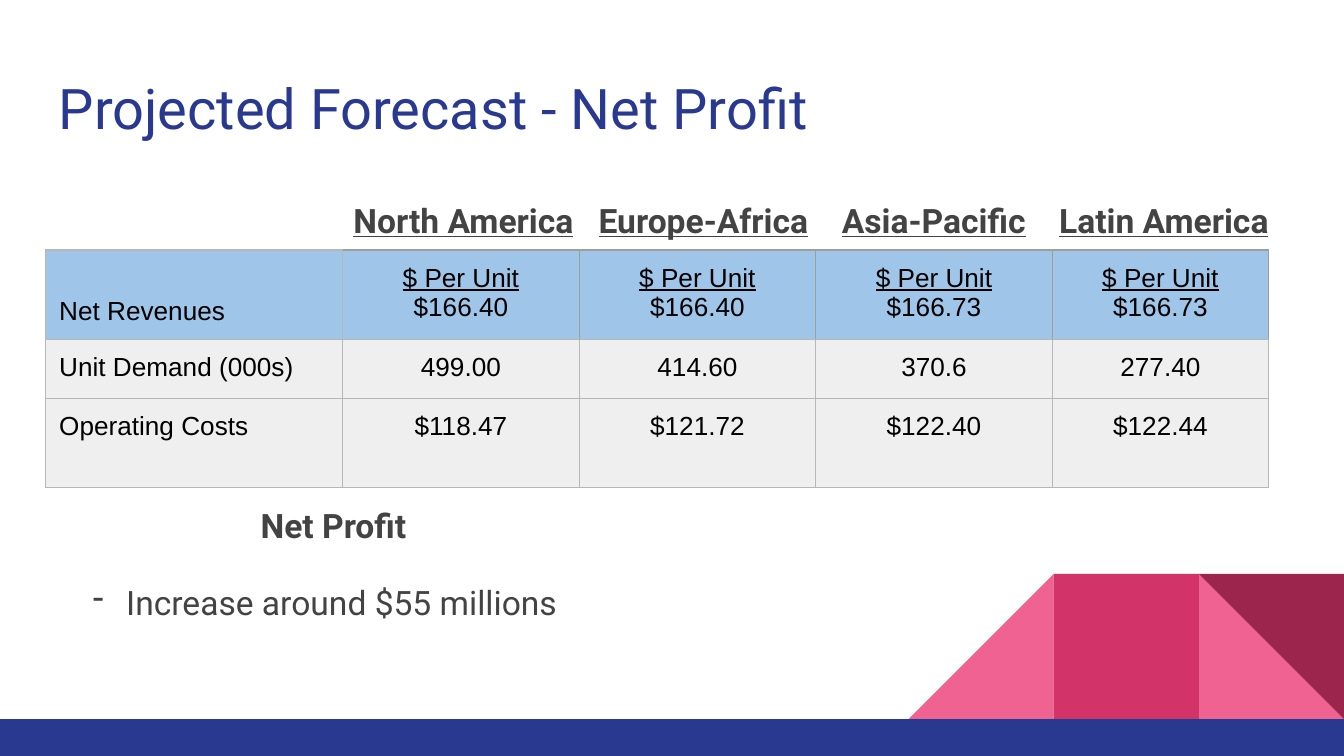
from typing import NamedTuple

from lxml import etree
from pptx import Presentation
from pptx import util as u
from pptx.dml.color import RGBColor
from pptx.enum import shapes, text
from pptx.oxml import ns

NAVY, GREY, BLACK = "2A3990", "434343", "000000"
PINK, ROSE, WINE = "F06292", "D23369", "9C254D"
BLUE, PALE = "9FC5E8", "EFEFEF"
LINE, DARK = "B7B7B7", "9E9E9E"
RECT = shapes.MSO_SHAPE.RECTANGLE
TRI = shapes.MSO_SHAPE.RIGHT_TRIANGLE
LEFT, MID = text.PP_ALIGN.LEFT, text.PP_ALIGN.CENTER


class Block(NamedTuple):
    kind: int
    x: float
    y: float
    w: float
    h: float
    fill: str
    turn: int = 0


class Style(NamedTuple):
    size: int
    font: str
    hue: str


class Region(NamedTuple):
    name: str
    gap: float  # extra points in the space before the name


class Row(NamedTuple):
    label: str
    values: list[str]
    height: float
    fill: str


SIDE = 1.08
BLOCKS = [
    Block(TRI, 8.92, 4.27, SIDE, SIDE, PINK),
    Block(TRI, 6.76, 4.27, SIDE, SIDE, PINK, 270),
    Block(RECT, 7.84, 4.27, SIDE, SIDE, ROSE),
    Block(TRI, 8.92, 4.27, SIDE, SIDE, WINE, 180),
    Block(RECT, 0, 5.35, 10, 0.28, NAVY),
]
HEAD = Style(30, "Roboto", NAVY)
BODY = Style(18, "Roboto", GREY)
CELL = Style(14, "Arial", BLACK)

EDGE, PAD = 0.34, 0.1
REGIONS = [
    Region("North America", 0),
    Region("Europe-Africa", 9),
    Region("Asia-Pacific", 13.5),
    Region("Latin America", 13.5),
]
WIDTHS = [2.21, 1.76, 1.76, 1.76, 1.61]
# The first row grows to fit its two lines
ROWS = [
    Row("Net Revenues", ["$166.40", "$166.40", "$166.73", "$166.73"], 0, BLUE),
    Row("Unit Demand (000s)", ["499.00", "414.60", "370.6", "277.40"], 0.44, PALE),
    Row("Operating Costs", ["$118.47", "$121.72", "$122.40", "$122.44"], 0.66, PALE),
]


def paint(fmt, hue: str) -> None:
    fmt.solid()
    fmt.fore_color.rgb = RGBColor.from_string(hue)


def sub(node, tag: str, **attrs: str):
    return etree.SubElement(node, ns.qn(tag), **attrs)


def add_run(par, words: str, style: Style, bold=False, under=False):
    run = par.add_run()
    run.text = words
    font = run.font
    font.size, font.name = u.Pt(style.size), style.font
    font.bold, font.underline = bold, under
    paint(font.fill, style.hue)
    return run


def add_block(slide, item: Block) -> None:
    shape = slide.shapes.add_shape(
        item.kind, *map(u.Inches, (item.x, item.y, item.w, item.h)))
    shape.shadow.inherit = False
    shape.rotation = item.turn
    shape.line.fill.background()
    paint(shape.fill, item.fill)


def pad(area) -> None:
    area.margin_left = area.margin_right = u.Inches(PAD)
    area.margin_top = area.margin_bottom = u.Inches(PAD)


def add_box(slide, y: float, h: float):
    box = slide.shapes.add_textbox(*map(u.Inches, (EDGE, y, 9.32, h)))
    frame = box.text_frame
    frame.word_wrap = True
    pad(frame)
    return frame


def space(par, before: float = 0) -> None:
    par.line_spacing = 1.15
    par.space_before, par.space_after = u.Pt(before), u.Pt(16)


def indent(par, left: float, first: float = 0):
    props = par._p.get_or_add_pPr()
    props.set("marL", str(u.Inches(left)))
    props.set("indent", str(u.Inches(first)))
    return props


def add_body(slide) -> None:
    frame = add_box(slide, 1.34, 3.65)

    # Region names above the table columns, set apart by letter spacing
    heads = frame.paragraphs[0]
    space(heads)
    indent(heads, 1.5, 0.69)
    for area in REGIONS:
        if area.gap:
            gap = add_run(heads, " ", BODY, bold=True)
            gap._r.get_or_add_rPr().set("spc", str(int(area.gap * 100)))
        add_run(heads, area.name, BODY, bold=True, under=True)

    # Conclusion below the table
    label = frame.add_paragraph()
    space(label, 123)
    indent(label, 1.5)
    add_run(label, "Net Profit", BODY, bold=True)

    point = frame.add_paragraph()
    space(point)
    props = indent(point, 0.5, -0.25)
    sub(sub(props, "a:buClr"), "a:srgbClr", val=GREY)
    sub(props, "a:buChar", char="-")
    add_run(point, "Increase around $55 millions", BODY)


def set_edges(cell, hues: dict[str, str]) -> None:
    props = cell._tc.get_or_add_tcPr()
    for i, (side, hue) in enumerate(hues.items()):
        line = etree.Element(ns.qn(f"a:ln{side}"), w=str(u.Pt(0.75)))
        sub(sub(line, "a:solidFill"), "a:srgbClr", val=hue)
        props.insert(i, line)


def add_table(slide) -> None:
    table = slide.shapes.add_table(
        len(ROWS), len(WIDTHS),
        *map(u.Inches, (EDGE, 1.86, sum(WIDTHS), 1.76))).table
    table.first_row = table.horz_banding = False
    for col, width in zip(table.columns, WIDTHS):
        col.width = u.Inches(width)
    for r, row in enumerate(ROWS):
        table.rows[r].height = u.Inches(row.height)
        for c, words in enumerate([row.label, *row.values]):
            cell = table.cell(r, c)
            pad(cell)
            paint(cell.fill, row.fill)
            par = cell.text_frame.paragraphs[0]
            top = r == 0 and c > 0
            if top:
                par.alignment = MID
                add_run(par, "$ Per Unit", CELL, under=True)
                par = cell.text_frame.add_paragraph()
            elif r == 0:
                cell.vertical_anchor = text.MSO_ANCHOR.BOTTOM
            par.alignment = MID if c else LEFT
            add_run(par, words, CELL)
            for par in cell.text_frame.paragraphs:
                sub(par._p, "a:endParaRPr", sz=str(CELL.size * 100))
            hue = DARK if top else LINE
            set_edges(cell, {"L": hue if c > 1 else LINE, "R": hue,
                             "T": hue, "B": LINE})


def main() -> None:
    deck = Presentation()
    deck.slide_width, deck.slide_height = u.Inches(10), u.Inches(5.625)
    slide = deck.slides.add_slide(deck.slide_layouts[6])

    # Corner pattern and footer bar
    for item in BLOCKS:
        add_block(slide, item)

    # Title
    frame = add_box(slide, 0.45, 0.66)
    add_run(frame.paragraphs[0], "Projected Forecast - Net Profit", HEAD)

    add_body(slide)
    add_table(slide)
    deck.save("out.pptx")


if __name__ == "__main__":
    main()
